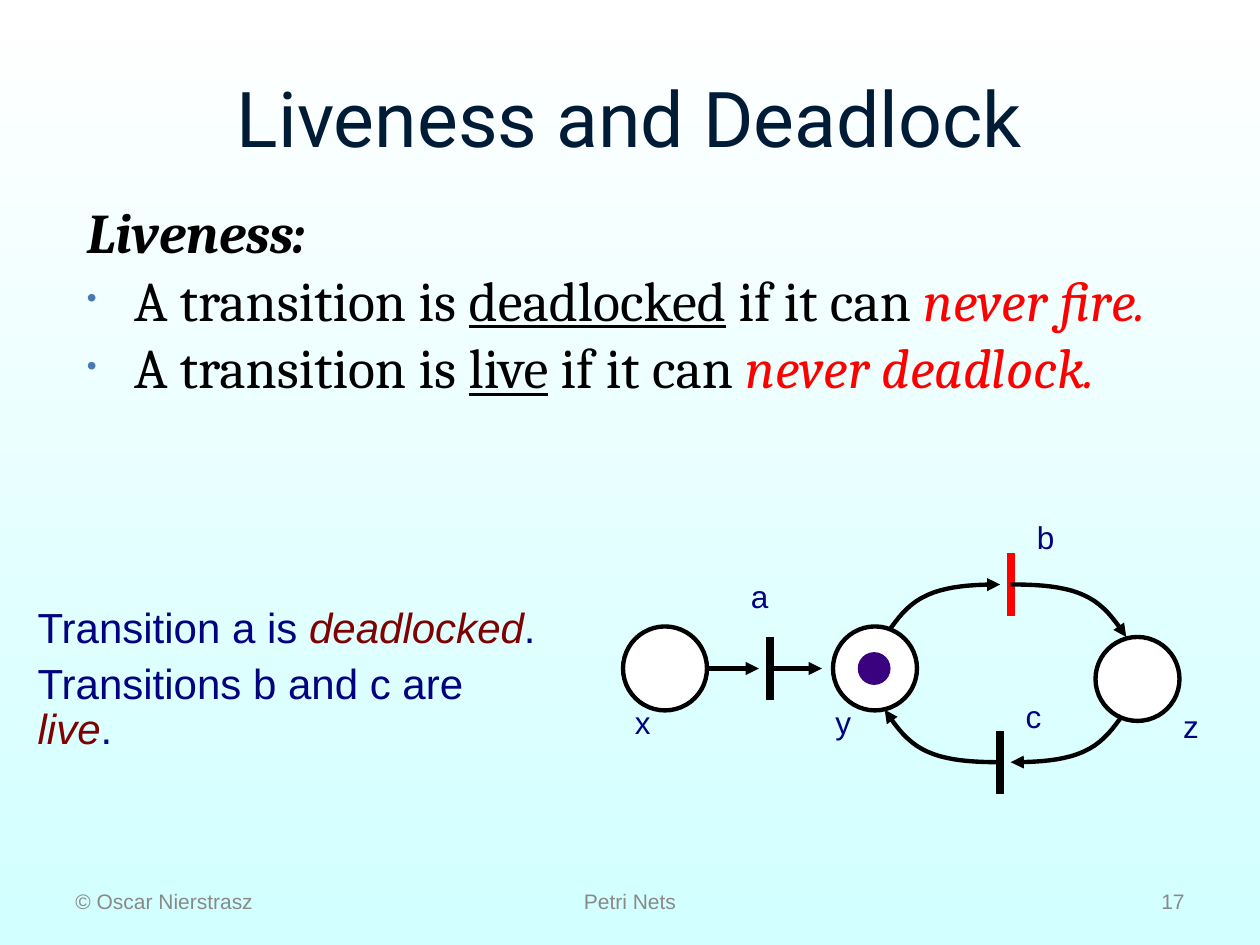
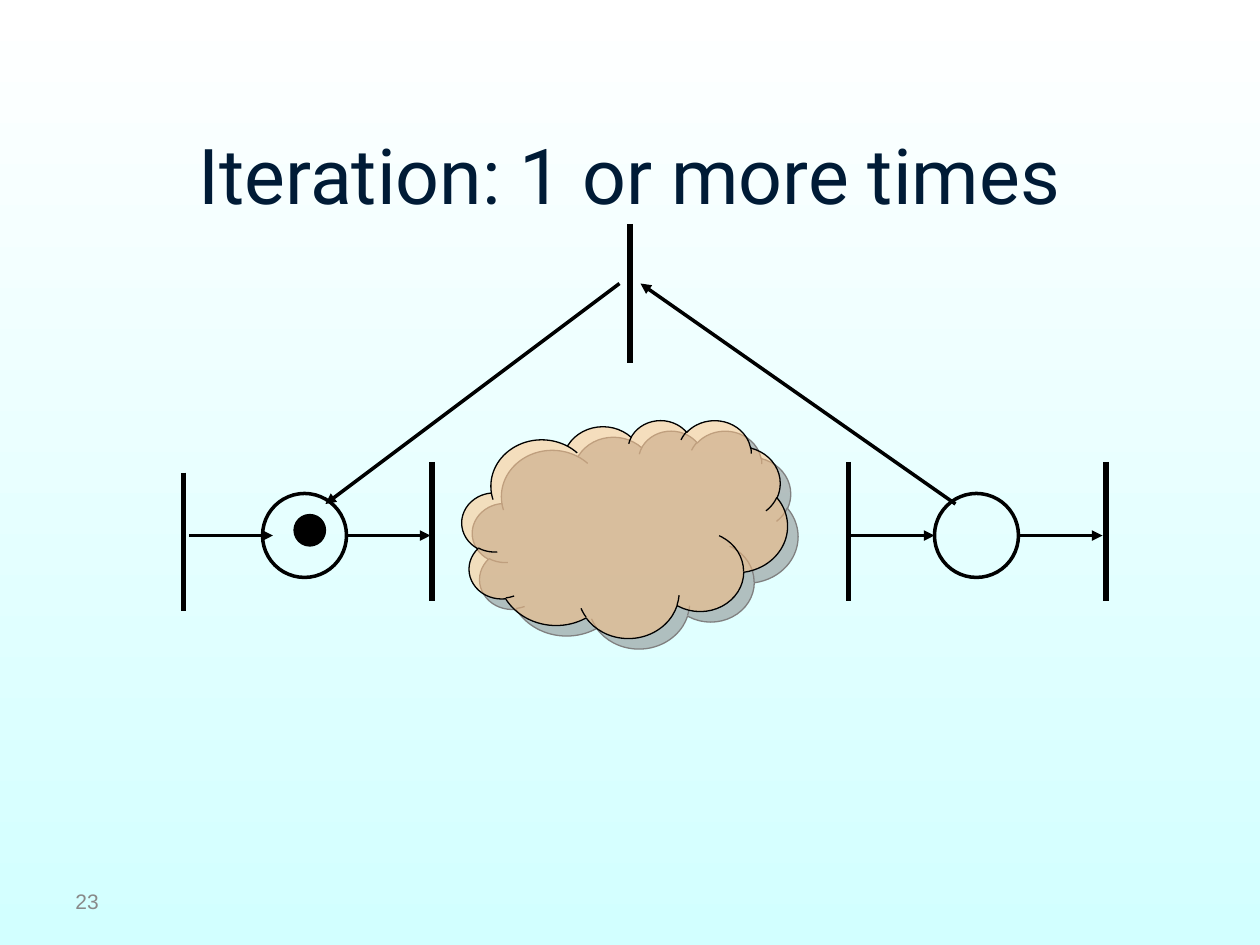
import pptx
import pptx.dml.color
import pptx.enum.shapes
import pptx.enum.text
import pptx.oxml.ns
import pptx.util
from lxml import etree

Pt = pptx.util.Pt
qn = pptx.oxml.ns.qn
rgb = pptx.dml.color.RGBColor.from_string
SHAPE = pptx.enum.shapes.MSO_SHAPE
STRAIGHT = pptx.enum.shapes.MSO_CONNECTOR.STRAIGHT
ALIGN = pptx.enum.text.PP_ALIGN
ANCHOR = pptx.enum.text.MSO_ANCHOR

BLACK, WHITE, RED = "000000", "FFFFFF", "FF0000"
NAVY, MAROON, PURPLE = "00027F", "7F0101", "3A027F"
TITLE_COLOR, FOOTER_COLOR, BULLET_COLOR = "001B36", "898989", "477AB1"
CIRCLE, TOKEN = 48, 18


def write(slide, box, paragraphs, size, font, color, align=ALIGN.LEFT,
          anchor=ANCHOR.TOP, wrap=True):
    """Add a text box; each paragraph is a list of (text, font settings) runs."""
    frame = slide.shapes.add_textbox(*map(Pt, box)).text_frame
    frame.word_wrap = wrap
    frame.vertical_anchor = anchor
    for index, runs in enumerate(paragraphs):
        paragraph = frame.add_paragraph() if index else frame.paragraphs[0]
        paragraph.alignment = align
        for text, settings in runs:
            run = paragraph.add_run()
            run.text = text
            run.font.size = Pt(size)
            run.font.name = font
            run.font.color.rgb = rgb(settings.get("color", color))
            run.font.bold = settings.get("bold")
            run.font.italic = settings.get("italic")
            run.font.underline = settings.get("underline")
    return frame


def stroke(shape, width, color=BLACK, arrow=False):
    """Set the outline, drop the theme shadow and return the effect list."""
    shape.line.color.rgb = rgb(color)
    shape.line.width = Pt(width)
    properties = shape._element.spPr
    if arrow:
        etree.SubElement(properties.find(qn("a:ln")), qn("a:tailEnd"), type="triangle")
    return etree.SubElement(properties, qn("a:effectLst"))


deck = pptx.Presentation()
deck.slide_width, deck.slide_height = Pt(720), Pt(540)
liveness, iteration = [deck.slides.add_slide(deck.slide_layouts[6]) for _ in range(2)]

# Shared background, title and footer styles
for slide, title, title_box in (
    (liveness, "Liveness and Deadlock", (36, 21.6, 648, 90)),
    (iteration, "Iteration: 1 or more times", (54, 60, 612, 78)),
):
    background = slide.background.fill
    background.gradient()
    background.gradient_angle = 270
    for stop, position, color in zip(background.gradient_stops, (0, 1), (WHITE, "D2FFFF")):
        stop.position = position
        stop.color.rgb = rgb(color)
    write(slide, title_box, [[(title, {})]], 44, "Roboto", TITLE_COLOR,
          ALIGN.CENTER, ANCHOR.MIDDLE)

for slide, text, left, width, align in (
    (liveness, "© Oscar Nierstrasz", 36, 168, ALIGN.LEFT),
    (liveness, "Petri Nets", 246, 228, ALIGN.CENTER),
    (liveness, "17", 516, 168, ALIGN.RIGHT),
    (iteration, "23", 36, 168, ALIGN.LEFT),
):
    write(slide, (left, 500.5, width, 28.8), [[(text, {})]], 12, "Arial",
          FOOTER_COLOR, align, ANCHOR.MIDDLE)

# Liveness: definitions
emphasis = {"color": RED, "italic": True}
definitions = write(liveness, (42.5, 116.6, 635, 126), [
    [("Liveness:", {"bold": True, "italic": True})],
    [("A transition is ", {}), ("deadlocked", {"underline": True}),
     (" if it can ", {}), ("never fire.", emphasis)],
    [("A transition is ", {}), ("live", {"underline": True}),
     (" if it can ", {}), ("never deadlock.", emphasis)],
], 32, "Cambria", BLACK)
for index, paragraph in enumerate(definitions.paragraphs):
    indent = paragraph._p.get_or_add_pPr()
    indent.set("marL", str(Pt(27)))
    indent.set("indent", str(Pt(-27)))
    if index:
        bullet_color = etree.SubElement(indent, qn("a:buClr"))
        etree.SubElement(bullet_color, qn("a:srgbClr"), val=BULLET_COLOR)
        etree.SubElement(indent, qn("a:buSzPct"), val="50000")
        etree.SubElement(indent, qn("a:buFont"), typeface="Arial")
        etree.SubElement(indent, qn("a:buChar"), char="•")
        paragraph.space_before = Pt(8)
    paragraph.line_spacing = 0.8

# Liveness: Petri net
for x1, y1, x2, y2, width, color, arrow in (
    (404, 382, 433.6, 382, 2.5, BLACK, True),
    (440, 382, 469.6, 382, 2.5, BLACK, True),
    (440, 364, 440, 400, 4.5, BLACK, False),
    (577.6, 316, 577.6, 352, 4.5, RED, False),
    (571.6, 417.6, 571.6, 453.6, 4.5, BLACK, False),
):
    link = liveness.shapes.add_connector(STRAIGHT, Pt(x1), Pt(y1), Pt(x2), Pt(y2))
    stroke(link, width, color, arrow)

# One quarter of the loop as Bézier points, mirrored into the four arcs
quarter = [(0, 0), (6.5, 9.6), (13, 19), (24.5, 24), (35.5, 29), (50.5, 30), (66, 30)]
STEPS = 10
curve = [quarter[0]]
for start in (0, 3):
    controls = quarter[start:start + 4]
    for step in range(1, STEPS + 1):
        t = step / STEPS
        weights = ((1 - t) ** 3, 3 * t * (1 - t) ** 2, 3 * t * t * (1 - t), t ** 3)
        curve.append([sum(w * point[axis] for w, point in zip(weights, controls))
                      for axis in (0, 1)])
for x, y, across, down, inward in (
    (505.6, 364, 1, -1, True),
    (643.6, 364, -1, -1, False),
    (643.6, 405.6, -1, 1, True),
    (505.6, 405.6, 1, 1, False),
):
    points = [(Pt(x + across * u), Pt(y + down * v)) for u, v in curve]
    if not inward:
        points.reverse()
    outline = liveness.shapes.build_freeform(*points[0])
    outline.add_line_segments(points[1:], close=False)
    arc = outline.convert_to_shape()
    arc.fill.background()
    stroke(arc, 2.5, arrow=True)

for left, top in ((356, 358), (476, 358), (626, 364)):
    place = liveness.shapes.add_shape(SHAPE.OVAL, Pt(left), Pt(top), Pt(CIRCLE), Pt(CIRCLE))
    place.fill.solid()
    place.fill.fore_color.rgb = rgb(WHITE)
    stroke(place, 2.5)

for label, left, top, width in (
    ("x", 355.7, 398.2, 23), ("a", 422, 326.2, 24.5), ("y", 470.2, 398.2, 23),
    ("z", 669, 400.3, 23), ("b", 585.4, 292.3, 24.5), ("c", 579, 394.6, 23),
):
    write(liveness, (left, top, width, 28.8), [[(label, {})]], 18, "Arial", NAVY, wrap=False)

finding = {"color": MAROON, "italic": True}
findings = write(liveness, (14.4, 343.5, 306, 91.4), [
    [("Transition a is ", {}), ("deadlocked", finding), (".", {})],
    [("Transitions b and c are ", {}), ("live", finding), (".", {})],
], 24, "Arial", NAVY)
for paragraph in findings.paragraphs:
    paragraph.line_spacing = 0.9
findings.paragraphs[1].space_before = Pt(6)

# Iteration: the repeated part, drawn as a cloud
cloud = iteration.shapes.add_shape(SHAPE.CLOUD, Pt(264), Pt(240), Pt(186), Pt(124.5))
cloud.fill.solid()
cloud.fill.fore_color.rgb = rgb("FFBE7D")
cloud_color = cloud._element.spPr.find(qn("a:solidFill"))[0]
etree.SubElement(cloud_color, qn("a:alpha"), val="50000")
cloud_shadow = etree.SubElement(stroke(cloud, 0.75), qn("a:outerShdw"), blurRad="0",
                                dist=str(Pt(8.5)), dir="2700000", algn="ctr", rotWithShape="0")
etree.SubElement(cloud_shadow, qn("a:srgbClr"), val="808080")

# Iteration: places, arrows and transition bars
for left in (150, 534):
    place = iteration.shapes.add_shape(SHAPE.OVAL, Pt(left), Pt(282), Pt(CIRCLE), Pt(CIRCLE))
    place.fill.background()
    stroke(place, 2)

for x1, y1, x2, y2 in (
    (108, 306, 156, 306), (198, 306, 246, 306),
    (486, 306, 534, 306), (582, 306, 630, 306),
    (546, 288, 366, 162), (354, 162, 186, 288),
):
    arrow = iteration.shapes.add_connector(STRAIGHT, Pt(x1), Pt(y1), Pt(x2), Pt(y2))
    stroke(arrow, 2, arrow=True)

for x, top in ((105, 270), (246.8, 264), (360, 128), (484.8, 264), (632, 264)):
    bar = iteration.shapes.add_connector(STRAIGHT, Pt(x), Pt(top), Pt(x), Pt(top + 79.2))
    stroke(bar, 3)

# Tokens in the marked places
for slide, left, top, color in ((liveness, 490.5, 373, PURPLE), (iteration, 168, 294, BLACK)):
    token = slide.shapes.add_shape(SHAPE.OVAL, Pt(left), Pt(top), Pt(TOKEN), Pt(TOKEN))
    token.fill.solid()
    token.fill.fore_color.rgb = rgb(color)
    stroke(token, 0.75, color)

deck.save("out.pptx")
